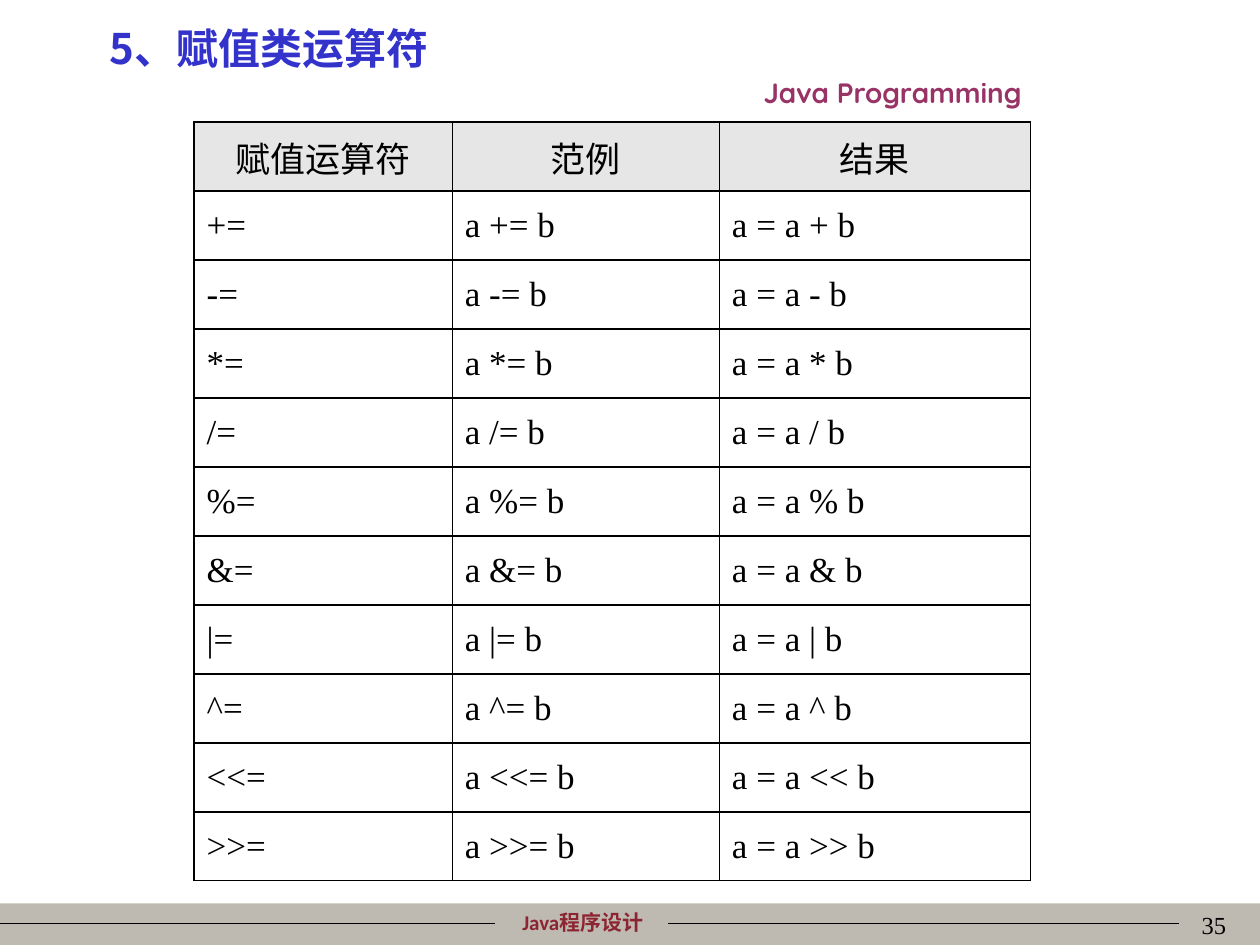
"""Build the slide that lists Java assignment operators with examples and results."""
import pptx
import pptx.dml.color
import pptx.enum.shapes
import pptx.enum.text
import pptx.oxml.ns
import pptx.util
from lxml import etree

Inches, Pt = pptx.util.Inches, pptx.util.Pt
ALIGN = pptx.enum.text.PP_ALIGN
ANCHOR = pptx.enum.text.MSO_ANCHOR
qn = pptx.oxml.ns.qn

W, H = 10, 7.5
COLORS = {"title": "3333CC", "course": "993366", "footer": "8C2532",
          "bar": "BFBAB1", "head": "E6E6E6", "body": "FFFFFF", "ink": "000000"}
CJK, SERIF = "Noto Sans CJK SC", "Times New Roman"

TEXTS = [
    ("5、赋值类运算符", (0.77, 0.13, 8.5, 0.5),
     dict(size=24, font=CJK, color="title", bold=True)),
    ("Java Programming", (5.08, 0.55, 4.01, 0.37),
     dict(size=16, font="Quicksand", color="course", bold=True, align=ALIGN.CENTER)),
    ("Java程序设计", (3.62, 7.17, 2.01, 0.3),
     dict(size=12, font="Calibri", color="footer", bold=True, align=ALIGN.CENTER)),
    ("35", (7.75, 7.17, 2.08, 0.5), dict(size=14, align=ALIGN.RIGHT)),
]
BAR_TOP, RULE_Y = 7.17, 7.33
RULES = [(0, 3.93), (5.3, 9.36)]
HEADERS = ["赋值运算符", "范例", "结果"]
OPERATORS = ["+", "-", "*", "/", "%", "&", "|", "^", "<<", ">>"]
TABLE_LEFT, TABLE_TOP, TABLE_HEIGHT = 1.54, 0.97, 6.02
COLUMNS = [2.05, 2.12, 2.47]
HANG = 0.38


def rgb(name):
    return pptx.dml.color.RGBColor.from_string(COLORS[name])


def write(tf, text, size=20, font=SERIF, color="ink", bold=False, align=ALIGN.LEFT):
    p = tf.paragraphs[0]
    p.alignment = align
    r = p.add_run()
    r.text = text
    r.font.size, r.font.bold, r.font.name = Pt(size), bold, font
    r.font.color.rgb = rgb(color)
    etree.SubElement(r.font._element, qn("a:ea"), typeface=CJK)
    return p


def add_text(s, text, box, **style):
    tf = s.shapes.add_textbox(*map(Inches, box)).text_frame
    tf.word_wrap = True
    write(tf, text, **style)


def add_footer(s):
    sp = s.shapes.add_shape(pptx.enum.shapes.MSO_SHAPE.RECTANGLE, 0,
                            Inches(BAR_TOP), Inches(W), Inches(H - BAR_TOP))
    sp.shadow.inherit = False
    sp.fill.solid()
    sp.fill.fore_color.rgb = rgb("bar")
    sp.line.fill.background()
    for start, end in RULES:
        line = s.shapes.add_connector(pptx.enum.shapes.MSO_CONNECTOR.STRAIGHT,
                                      *map(Inches, (start, RULE_Y, end, RULE_Y)))
        line.line.color.rgb = rgb("ink")
        line.line.width = Pt(0.75)
        etree.SubElement(line._element.spPr, qn("a:effectLst"))


def set_borders(cell, widths):
    tcPr = cell._tc.get_or_add_tcPr()
    for i, (side, width) in enumerate(widths.items()):
        ln = etree.Element(qn(f"a:ln{side}"), w=str(Pt(width)))
        fill = etree.SubElement(ln, qn("a:solidFill"))
        etree.SubElement(fill, qn("a:srgbClr"), val=COLORS["ink"])
        tcPr.insert(i, ln)


def add_operator_table(s):
    rows = [HEADERS] + [[f"{op}=", f"a {op}= b", f"a = a {op} b"] for op in OPERATORS]
    table = s.shapes.add_table(len(rows), len(COLUMNS), *map(
        Inches, (TABLE_LEFT, TABLE_TOP, sum(COLUMNS), TABLE_HEIGHT))).table
    for column, width in zip(table.columns, COLUMNS):
        column.width = Inches(width)
    last = len(COLUMNS) - 1
    for i, row in enumerate(rows):
        for j, text in enumerate(row):
            cell = table.cell(i, j)
            cell.vertical_anchor = ANCHOR.MIDDLE
            cell.fill.solid()
            cell.fill.fore_color.rgb = rgb("body" if i else "head")
            p = write(cell.text_frame, text, align=ALIGN.LEFT if i else ALIGN.CENTER)
            pPr = p._p.get_or_add_pPr()
            pPr.set("marL", str(Inches(HANG)))
            pPr.set("indent", str(-Inches(HANG)))
            set_borders(cell, {"L": 1 if j else 0.75, "R": 0.75 if j == last else 1,
                               "T": 1, "B": 1})


def main():
    prs = pptx.Presentation()
    prs.slide_width, prs.slide_height = Inches(W), Inches(H)
    s = prs.slides.add_slide(prs.slide_layouts[6])
    add_footer(s)
    for text, box, style in TEXTS:
        add_text(s, text, box, **style)
    add_operator_table(s)
    prs.save("out.pptx")


if __name__ == "__main__":
    main()
